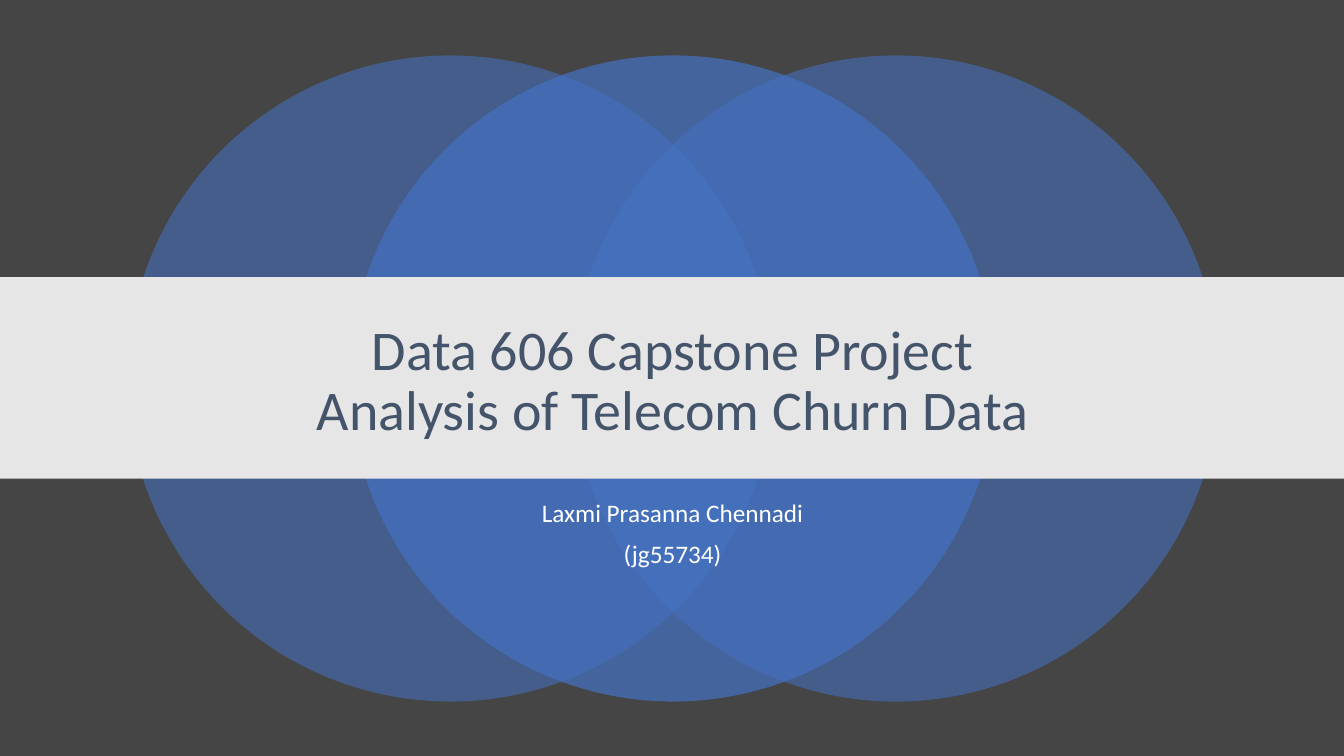
from lxml.etree import SubElement
from pptx import Presentation
from pptx.dml.color import RGBColor
from pptx.enum.shapes import MSO_SHAPE
from pptx.enum.text import MSO_ANCHOR, MSO_AUTO_SIZE, PP_ALIGN
from pptx.oxml.ns import qn
from pptx.util import Inches, Pt

WIDTH, HEIGHT = 13.33, 7.5
FONT = "Calibri"
GREY, BLUE, PALE, SLATE, WHITE = "454545", "4472C4", "E7E6E6", "44546A", "FFFFFF"


def paint(fill, color):
    fill.solid()
    fill.fore_color.rgb = RGBColor.from_string(color)


def place(shape, box):
    shape.left, shape.top, shape.width, shape.height = map(Inches, box)


def add_shape(shapes, kind, box, color):
    shape = shapes.add_shape(kind, *map(Inches, box))
    shape.shadow.inherit = False
    paint(shape.fill, color)
    shape.line.fill.background()
    return shape


def set_text(frame, anchor):
    frame.word_wrap = True
    frame.auto_size = MSO_AUTO_SIZE.NONE
    frame.vertical_anchor = anchor


def set_para(para, lines, size, color):
    """Fill a centred paragraph, one run per line with breaks between."""
    para.alignment = PP_ALIGN.CENTER
    para.line_spacing = 0.9
    for i, line in enumerate(lines):
        if i:
            para.add_line_break()
        run = para.add_run()
        run.text = line
        run.font.name = FONT
        run.font.size = Pt(size)
        paint(run.font.fill, color)


def add_rings(slide, box):
    """Overlap three circles across the box, the middle one on top."""
    left, top, width, size = box
    step = (width - size) / 2
    group = slide.shapes.add_group_shape()
    for col, alpha in ((0, 55), (2, 55), (1, 70)):
        ring = add_shape(group.shapes, MSO_SHAPE.OVAL,
                         (left + col * step, top, size, size), BLUE)
        tint = ring.fill._xPr.find(qn("a:solidFill"))[0]
        SubElement(tint, qn("a:alpha"), val=str(alpha * 1000))


def add_title(slide, box, lines):
    left, top, width, height = box
    add_shape(slide.shapes, MSO_SHAPE.RECTANGLE, box, PALE)
    title = slide.shapes.title
    place(title, (left + 1.67, top + 0.29, width - 3.33, height - 0.49))
    title.element.getparent().append(title.element)  # above the band
    set_text(title.text_frame, MSO_ANCHOR.MIDDLE)
    set_para(title.text_frame.paragraphs[0], lines, 40, SLATE)


def add_author(slide, box, lines):
    frame = slide.shapes.add_textbox(*map(Inches, box)).text_frame
    set_text(frame, MSO_ANCHOR.TOP)
    for i, line in enumerate(lines):
        para = frame.add_paragraph() if i else frame.paragraphs[0]
        para.space_before = Pt(10)
        set_para(para, [line], 18, WHITE)


def main():
    deck = Presentation()
    deck.slide_width, deck.slide_height = Inches(WIDTH), Inches(HEIGHT)
    slide = deck.slides.add_slide(deck.slide_layouts[5])
    paint(slide.background.fill, GREY)
    add_rings(slide, (1.26, 0.55, 10.83, 6.41))
    add_title(slide, (0, 2.75, WIDTH, 2),
              ["Data 606 Capstone Project", "Analysis of Telecom Churn Data"])
    add_author(slide, (1.67, 4.92, 10, 0.83),
               ["Laxmi Prasanna Chennadi", "(jg55734)"])
    deck.save("out.pptx")


if __name__ == "__main__":
    main()
